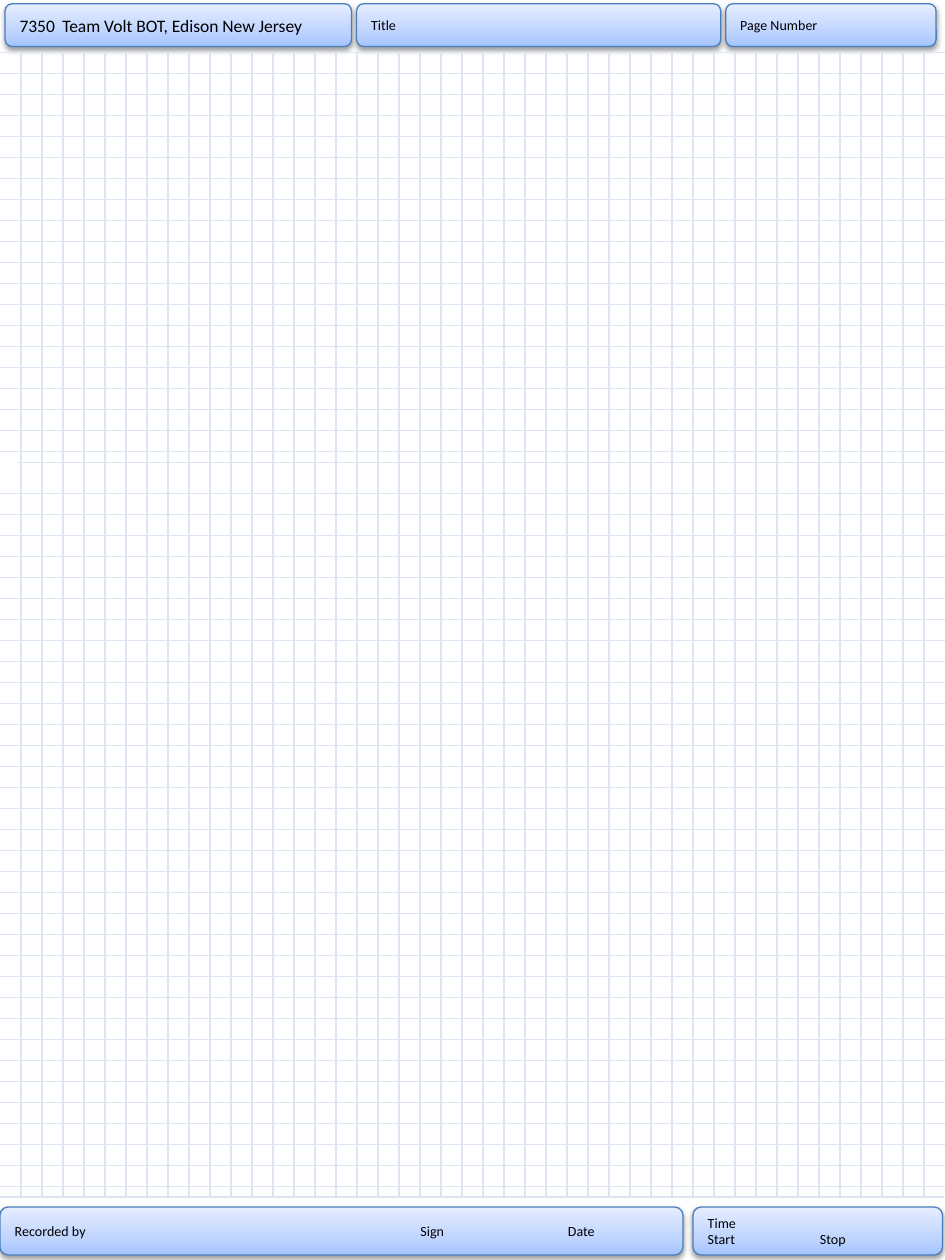
from copy import deepcopy
from dataclasses import dataclass

from lxml.etree import SubElement as Sub
from pptx import Presentation
from pptx.dml.color import RGBColor as Rgb
from pptx.enum.shapes import MSO_CONNECTOR as Conn, MSO_SHAPE as Kind
from pptx.enum.text import MSO_ANCHOR as Anchor, PP_ALIGN as Align
from pptx.oxml.ns import qn
from pptx.util import Inches, Pt


@dataclass(frozen=True)
class Theme:
    font: str = "Calibri"
    ink: str = "000000"
    edge: str = "4B7EBC"
    grid: str = "DCE6F2"
    fade: tuple = ((0, "A4C4FF"), (0.35, "BFD4FF"), (1, "E6EEFF"))
    large: int = 10
    small: int = 8
    line: float = 0.75


LOOK = Theme()
WIDE, HIGH = 7.5, 10
TOP, END = 5 / 12, 9.5
STEP = 1 / 6
COLS, ROWS = 44, 55
ODD = {20: (0.14, 3.67), 55: (-0.01, END)}

HEAD = (0.03, 0.34)
FOOT = (9.58, 0.38)
BOXES = [
    (0.04, 2.75, HEAD, ["7350\tTeam Volt BOT, Edison New Jersey"], LOOK.large, [0.34]),
    (5.76, 1.67, HEAD, ["Page Number"], LOOK.small, []),
    (0, 5.42, FOOT, ["Recorded by\tSign\tDate"], LOOK.small, [3.22, 4.39]),
    (5.5, 1.98, FOOT, ["Time", "Start\tStop"], LOOK.small, [0.89]),
    (2.83, 2.89, HEAD, ["Title"], LOOK.small, []),
]


def write(frame, rows, size, tabs=()):
    frame.word_wrap = True
    frame.vertical_anchor = Anchor.MIDDLE
    for i, text in enumerate(rows):
        para = frame.add_paragraph() if i else frame.paragraphs[0]
        para.alignment = Align.LEFT
        if tabs:
            stops = Sub(para._p.get_or_add_pPr(), qn("a:tabLst"))
            for pos in tabs:
                Sub(stops, qn("a:tab"), pos=str(Inches(pos)), algn="l")
        run = para.add_run()
        run.text = text
        run.font.name = LOOK.font
        run.font.size = Pt(size)
        run.font.color.rgb = Rgb.from_string(LOOK.ink)


def shade(shape):
    shape.fill.gradient()
    shape.fill.gradient_angle = 90
    stops = shape._element.spPr.find(".//" + qn("a:gsLst"))
    stops.append(deepcopy(stops[0]))
    for stop, (pos, tint) in zip(shape.fill.gradient_stops, LOOK.fade):
        stop.position = pos
        stop.color.rgb = Rgb.from_string(tint)


def cast(shape):
    shape.shadow.inherit = False
    effects = shape._element.spPr.find(qn("a:effectLst"))
    drop = Sub(effects, qn("a:outerShdw"), blurRad=str(Pt(3.1)),
               dist=str(Pt(1.6)), dir="5400000", rotWithShape="0")
    tint = Sub(drop, qn("a:srgbClr"), val="000000")
    Sub(tint, qn("a:alpha"), val="38000")


def panel(slide, left, width, band, rows, size, tabs):
    top, height = band
    shape = slide.shapes.add_shape(
        Kind.ROUNDED_RECTANGLE, *map(Inches, (left, top, width, height)))
    shade(shape)
    shape.line.color.rgb = Rgb.from_string(LOOK.edge)
    shape.line.width = Pt(LOOK.line)
    cast(shape)
    write(shape.text_frame, rows, size, tabs=tabs)


def rule(slide, *ends):
    line = slide.shapes.add_connector(Conn.STRAIGHT, *map(Inches, ends))
    line.line.color.rgb = Rgb.from_string(LOOK.grid)
    line.line.width = Pt(LOOK.line)
    Sub(line._element.spPr, qn("a:effectLst"))


def main():
    deck = Presentation()
    deck.slide_width, deck.slide_height = Inches(WIDE), Inches(HIGH)
    slide = deck.slides.add_slide(deck.slide_layouts[6])
    for box in BOXES:
        panel(slide, *box)
    for col in range(1, COLS + 1):
        rule(slide, col * STEP, TOP, col * STEP, END)
    for row in range(ROWS + 1):
        left, y = ODD.get(row, (0, TOP + row * STEP))
        rule(slide, left, y, left + WIDE, y)
    deck.save("out.pptx")


if __name__ == "__main__":
    main()
